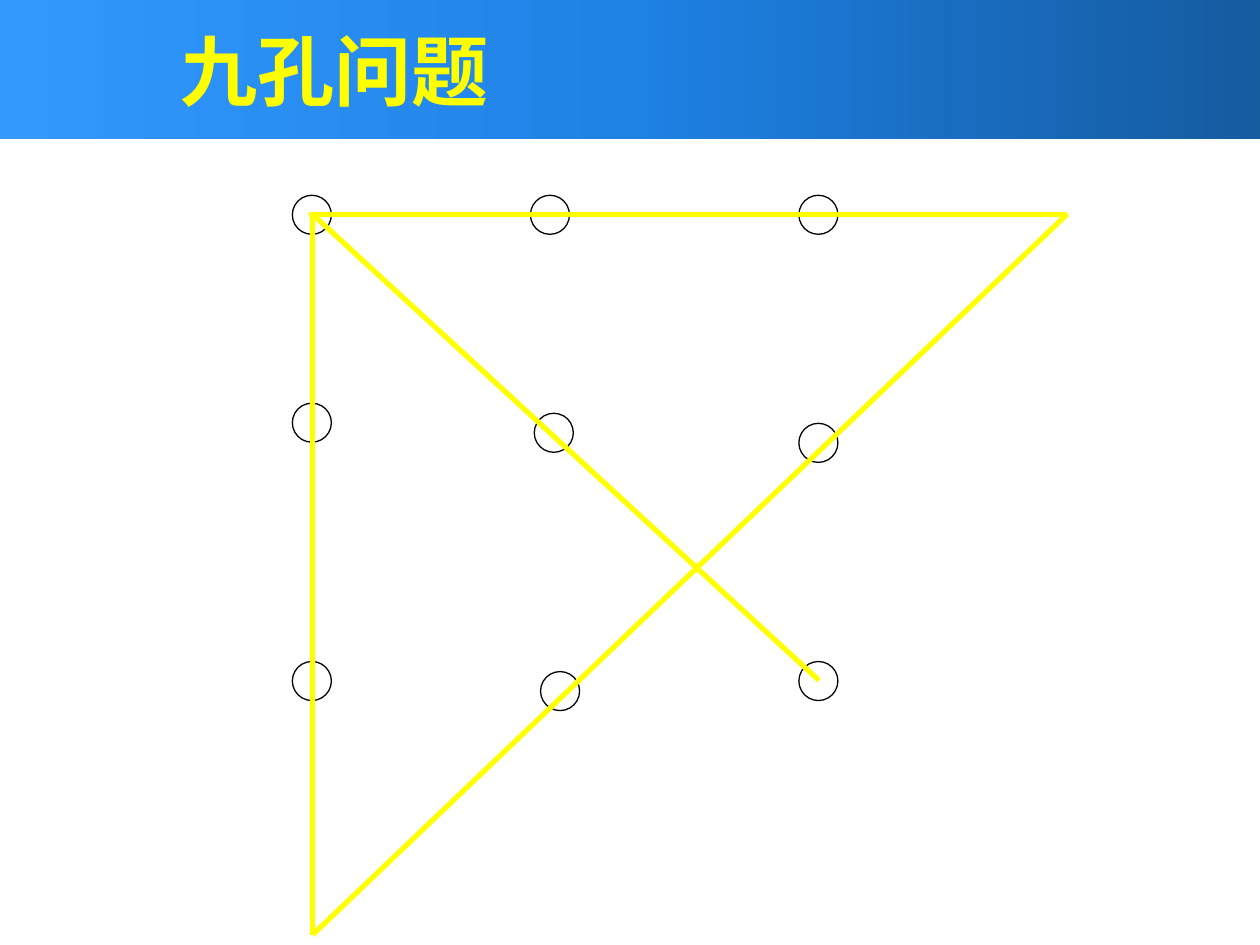
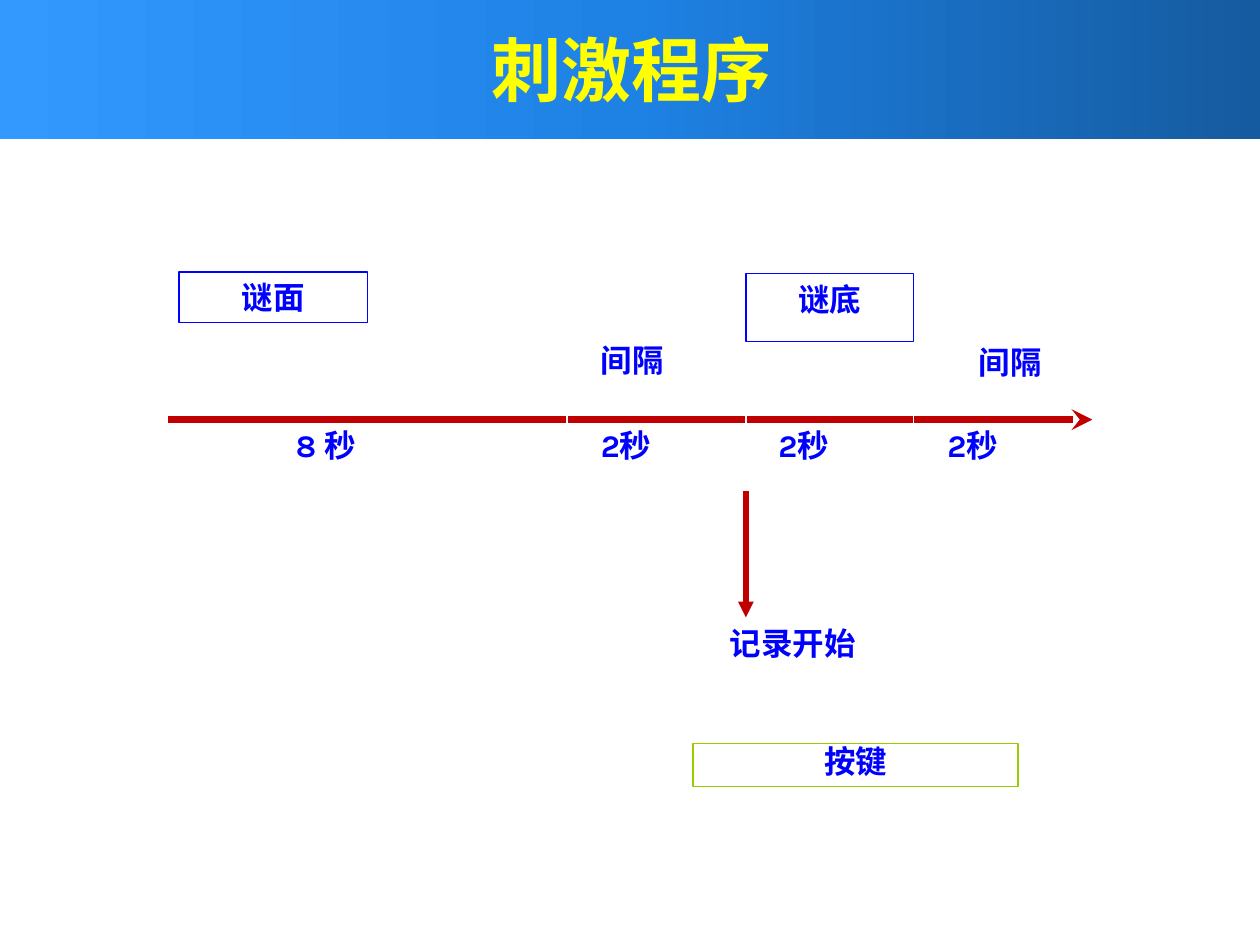
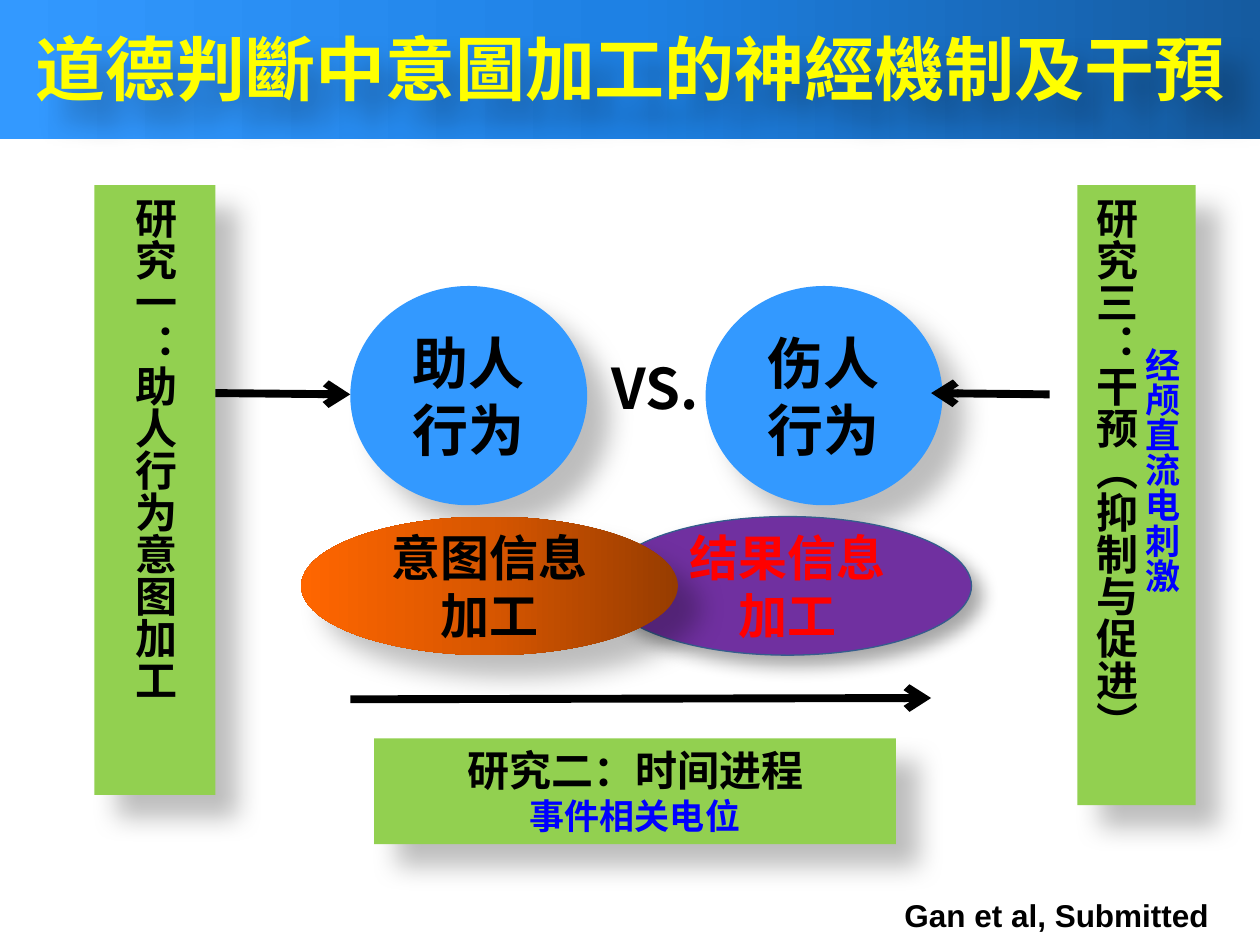
from dataclasses import dataclass
from itertools import pairwise
from typing import NamedTuple

from lxml import etree
from pptx import Presentation
from pptx.dml.color import RGBColor
from pptx.enum.shapes import MSO_CONNECTOR, MSO_SHAPE
from pptx.enum.text import MSO_ANCHOR, MSO_AUTO_SIZE, PP_ALIGN
from pptx.oxml.ns import qn
from pptx.util import Inches, Pt

RECT, OVAL = MSO_SHAPE.RECTANGLE, MSO_SHAPE.OVAL
STRAIGHT = MSO_CONNECTOR.STRAIGHT
LEFT, CENTER = PP_ALIGN.LEFT, PP_ALIGN.CENTER
TOP, MIDDLE = MSO_ANCHOR.TOP, MSO_ANCHOR.MIDDLE
GROW, FIXED = MSO_AUTO_SIZE.SHAPE_TO_FIT_TEXT, MSO_AUTO_SIZE.NONE

COLORS = {
    "white": "FFFFFF", "black": "000000", "yellow": "FFFF00", "blue": "0000FF",
    "red": "FF0000", "dark red": "C00000", "lime": "99CC00", "green": "92D050",
    "sky": "3399FF", "purple": "7030A0", "slate": "355D8D",
}
GRADIENTS = {
    "band": ("155BA0", "1E81E4", "3399FF"),
    "orange": ("973C00", "D75600", "FF6600"),
}
CJK, CJK_TITLE = "Noto Sans CJK SC", "Noto Sans CJK JP"
TITLE_ONLY = 5


class Shadow(NamedTuple):
    alpha: int
    blur: float
    dist: float


SOFT = Shadow(26, 15, 18)
TIGHT = Shadow(35, 10.2, 8)


class Line(NamedTuple):
    text: str
    size: float = 18
    color: str = "blue"
    font: str = CJK


@dataclass
class Box:
    at: tuple[float, float, float, float]
    lines: tuple[Line, ...] = ()
    shape: int = RECT
    fill: str | None = None
    outline: str | None = None
    shadow: Shadow | None = None
    align: int = CENTER
    anchor: int = TOP
    size_rule: int = GROW
    spacing: float | None = None
    vertical: bool = False
    wrap: bool = True


def rgb(name: str) -> RGBColor:
    return RGBColor.from_string(COLORS[name])


def fill_shape(sp, fill: str | None) -> None:
    if fill is None:
        sp.fill.background()
    elif fill in GRADIENTS:
        sp.fill.gradient()
        sp.fill.gradient_angle = 180
        stops = sp.element.spPr.find(".//" + qn("a:gsLst"))
        for stop in list(stops):
            stops.remove(stop)
        for i, color in enumerate(GRADIENTS[fill]):
            stop = etree.SubElement(stops, qn("a:gs"), pos=str(i * 50000))
            etree.SubElement(stop, qn("a:srgbClr"), val=color)
    else:
        sp.fill.solid()
        sp.fill.fore_color.rgb = rgb(fill)


def set_shadow(sp, shadow: Shadow | None) -> None:
    sp.shadow.inherit = False
    if shadow:
        effects = sp.element.spPr.find(qn("a:effectLst"))
        outer = etree.SubElement(
            effects, qn("a:outerShdw"), blurRad=str(Pt(shadow.blur)),
            dist=str(Pt(shadow.dist)), dir="2700000", algn="tl", rotWithShape="0")
        color = etree.SubElement(outer, qn("a:srgbClr"), val=COLORS["black"])
        etree.SubElement(color, qn("a:alpha"), val=str(shadow.alpha * 1000))


def write(sp, lines: tuple[Line, ...], align: int, spacing: float | None = None) -> None:
    tf = sp.text_frame
    for i, line in enumerate(lines):
        p = tf.add_paragraph() if i else tf.paragraphs[0]
        for name, value in {"alignment": align, "line_spacing": spacing}.items():
            setattr(p, name, value)
        r = p.add_run()
        r.text = line.text
        for name, value in {"size": Pt(line.size), "bold": True, "name": line.font}.items():
            setattr(r.font, name, value)
        r.font.color.rgb = rgb(line.color)
    for props in sp.element.iter(qn("a:rPr")):
        latin = props.find(qn("a:latin")).get("typeface")
        east = latin if latin == CJK_TITLE else CJK
        etree.SubElement(props, qn("a:ea"), typeface=east)


def add_box(slide, box: Box):
    sp = slide.shapes.add_shape(box.shape, *map(Inches, box.at))
    fill_shape(sp, box.fill)
    if box.outline:
        sp.line.color.rgb = rgb(box.outline)
        sp.line.width = Pt(0.75)
    else:
        sp.line.fill.background()
    set_shadow(sp, box.shadow)
    if box.lines:
        tf = sp.text_frame
        settings = {"word_wrap": box.wrap, "vertical_anchor": box.anchor,
                    "auto_size": box.size_rule}
        for name, value in settings.items():
            setattr(tf, name, value)
        if box.vertical:
            sp.element.find(".//" + qn("a:bodyPr")).set("vert", "eaVert")
        write(sp, box.lines, box.align, box.spacing)
    return sp


def add_line(slide, start: tuple[float, float], end: tuple[float, float],
             color: str, width: float, head: str | None = None) -> None:
    line = slide.shapes.add_connector(STRAIGHT, *map(Inches, (*start, *end)))
    line.line.color.rgb = rgb(color)
    line.line.width = Pt(width)
    props = line.element.spPr
    if head:
        etree.SubElement(props.find(qn("a:ln")), qn("a:tailEnd"), type=head)
    etree.SubElement(props, qn("a:effectLst"))


def add_titled_slide(prs, text: str, at: tuple[float, float, float, float],
                     size: float = 40, font: str = CJK_TITLE, align: int = CENTER):
    slide = prs.slides.add_slide(prs.slide_layouts[TITLE_ONLY])
    title = slide.shapes.title
    for name, value in zip(("left", "top", "width", "height"), at):
        setattr(title, name, Inches(value))
    title.text_frame.vertical_anchor = MIDDLE
    title.text_frame.auto_size = FIXED
    write(title, (Line(text, size, "yellow", font),), align)
    # Thin white edge around the letters
    props = title.element.find(".//" + qn("a:rPr"))
    edge = etree.Element(qn("a:ln"), w=str(Pt(1.45)))
    solid = etree.SubElement(edge, qn("a:solidFill"))
    etree.SubElement(solid, qn("a:srgbClr"), val=COLORS["white"])
    props.insert(0, edge)
    return slide


def add_band(prs, slide) -> None:
    """Put the blue title band on the layout that all slides share."""
    band = add_box(slide, Box((0, 0, 10, 1.1), fill="band"))
    prs.slide_layouts[TITLE_ONLY].shapes.element.insert(2, band.element)


def build_nine_dots(prs) -> None:
    slide = add_titled_slide(prs, "九孔问题", (1.33, 0.08, 8.09, 0.94), 44, align=LEFT)
    add_band(prs, slide)
    # Holes, row by row
    holes = [(2.32, 1.55), (4.21, 1.55), (6.34, 1.55),
             (2.32, 3.2), (4.24, 3.28), (6.34, 3.36),
             (2.32, 5.25), (4.29, 5.33), (6.34, 5.25)]
    for x, y in holes:
        add_box(slide, Box((x, y, 0.31, 0.31), shape=OVAL, fill="white", outline="black"))
    # One stroke of four lines
    stroke = [(6.5, 5.4), (2.48, 1.7), (2.48, 7.42), (8.47, 1.7), (2.45, 1.7)]
    for start, end in pairwise(stroke):
        add_line(slide, start, end, "yellow", 3)


def build_timeline(prs) -> None:
    slide = add_titled_slide(prs, "刺激程序", (0.75, 0.05, 8.52, 0.98), font="Comic Neue")
    # Time axis with ticks
    add_line(slide, (1.33, 3.33), (8.67, 3.33), "dark red", 4, "stealth")
    for x in (1.33, 4.5, 5.92, 7.25, 8.67):
        add_line(slide, (x, 3.16), (x, 3.49), "white", 0.75)
    # Framed events
    events = [
        ("谜面", (1.42, 2.16, 1.5, 0.4), "blue", GROW, None),
        ("谜底", (5.92, 2.17, 1.33, 0.54), "blue", FIXED, None),
        ("记录开始", (5.5, 4.9, 1.58, 0.4), "white", GROW, None),
        ("按键", (5.5, 5.9, 2.58, 0.34), "lime", GROW, 0.8),
    ]
    for text, at, outline, size_rule, spacing in events:
        add_box(slide, Box(at, (Line(text, font="Karla"),), outline=outline,
                           size_rule=size_rule, spacing=spacing))
    # Intervals and durations
    labels = [
        ("间隔", 4.67, 2.66, 0.92), ("间隔", 7.67, 2.67, 0.92),
        ("8 秒", 2.25, 3.33, 1.08), ("2秒", 4.67, 3.33, 1.08),
        ("2秒", 6.08, 3.33, 1), ("2秒", 7.42, 3.33, 1),
    ]
    for text, x, y, width in labels:
        add_box(slide, Box((x, y, width, 0.4), (Line(text, font="Karla"),), align=LEFT))
    add_line(slide, (5.92, 3.9), (5.92, 4.9), "dark red", 3, "triangle")


def build_studies(prs) -> None:
    slide = add_titled_slide(prs, "道德判斷中意圖加工的神經機制及干預", (0, 0, 10, 1.07))
    set_shadow(slide.shapes.title, SOFT)
    # Behaviours compared
    for text, x in (("助人行为", 2.78), ("伤人行为", 5.6)):
        add_box(slide, Box((x, 2.27, 1.88, 1.74), (Line(text, 32, "black"),), OVAL, "sky",
                           shadow=SOFT, anchor=MIDDLE, size_rule=FIXED))
    add_box(slide, Box((4.58, 2.76, 1.24, 0.65), (Line("VS.", 32, "black"),)))
    # Kinds of information
    add_box(slide, Box((4.79, 4.1, 2.92, 1.1), (Line("结果信息加工", 28, "red"),), OVAL,
                       "purple", "slate", TIGHT, anchor=MIDDLE, size_rule=FIXED))
    add_box(slide, Box((2.39, 4.1, 2.99, 1.1), (Line("意图信息加工", 28, "black"),), OVAL,
                       "orange", shadow=SOFT, anchor=MIDDLE, size_rule=FIXED))
    # Studies
    add_box(slide, Box((2.97, 5.86, 4.14, 0.84),
                       (Line("研究二：时间进程", 24, "black"), Line("事件相关电位", 20)),
                       fill="green", shadow=SOFT))
    add_box(slide, Box((8.55, 1.47, 0.94, 4.92),
                       (Line("经颅直流电刺激", 20),
                        Line("研究三：干预（抑制与促进）", 24, "black")),
                       fill="green", shadow=SOFT, anchor=MIDDLE, vertical=True))
    add_box(slide, Box((0.75, 1.47, 0.96, 4.84),
                       (Line("研究一：助人行为意图加工", 24, "black"),),
                       fill="green", shadow=SOFT, anchor=MIDDLE, size_rule=FIXED,
                       vertical=True))
    # Arrows
    arrows = [((2.78, 5.55), (7.39, 5.54)), ((8.33, 3.13), (7.39, 3.12)),
              ((1.71, 3.12), (2.78, 3.13))]
    for start, end in arrows:
        add_line(slide, start, end, "black", 4.5, "arrow")
    # Source
    add_box(slide, Box((7.08, 7.06, 2.64, 0.4),
                       (Line("Gan et al, Submitted", 18, "black", "Arial"),),
                       align=LEFT, wrap=False))


def main() -> None:
    prs = Presentation()
    prs.slide_width, prs.slide_height = Inches(10), Inches(7.5)
    build_nine_dots(prs)
    build_timeline(prs)
    build_studies(prs)
    prs.save("out.pptx")


if __name__ == "__main__":
    main()
